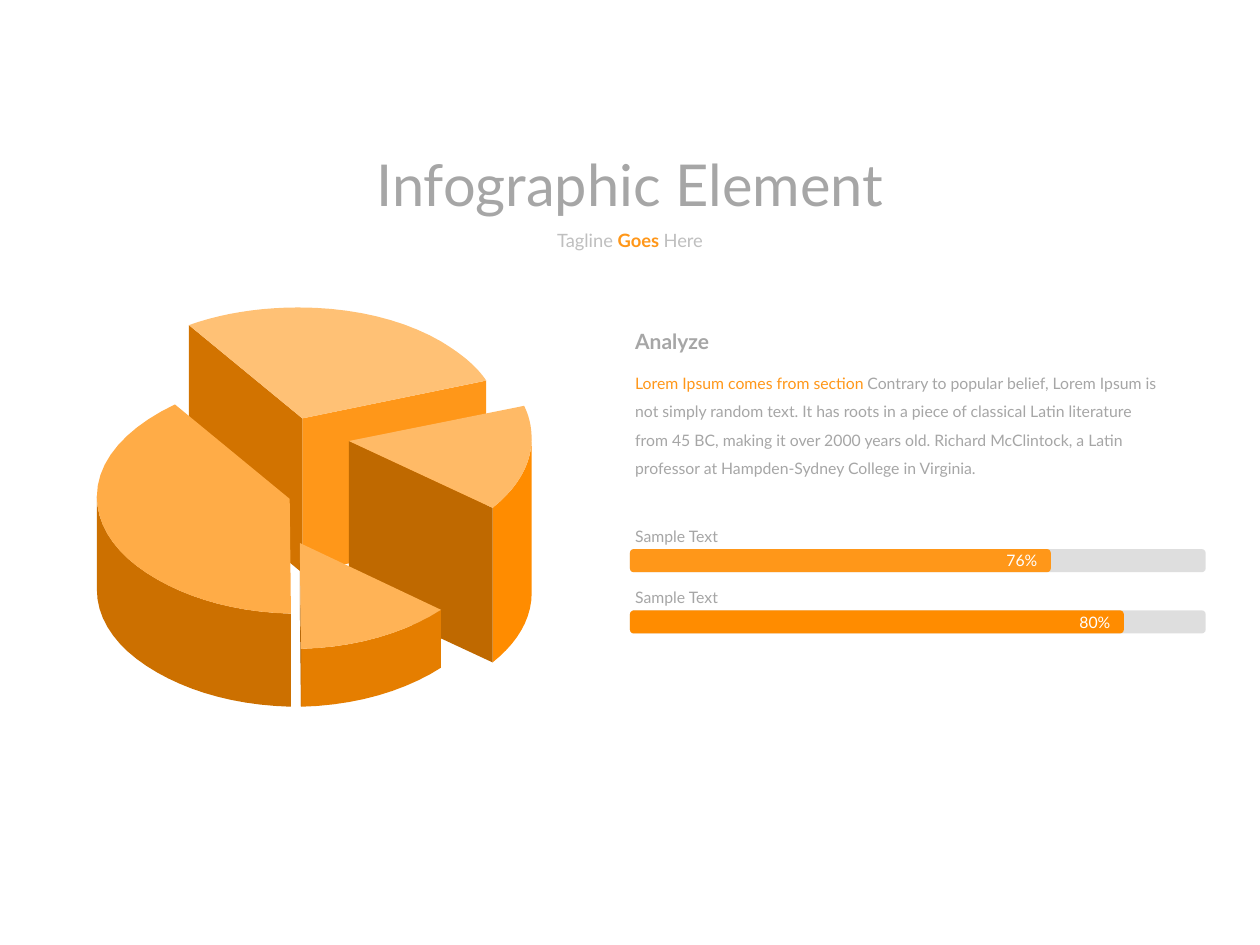
from lxml.etree import SubElement
from pptx import Presentation
from pptx.dml.color import RGBColor as RGB
from pptx.enum.shapes import MSO_SHAPE as Kind
from pptx.enum.text import MSO_ANCHOR as Anchor
from pptx.enum.text import MSO_AUTO_SIZE as Auto
from pptx.enum.text import PP_ALIGN as Align
from pptx.oxml.ns import qn
from pptx.util import Pt

GRAY = RGB(0xA6, 0xA6, 0xA6)
PALE = RGB(0xBF, 0xBF, 0xBF)
WHITE = RGB(0xFF, 0xFF, 0xFF)
ORANGE = RGB(0xFF, 0x97, 0x19)
VIVID = RGB(0xFF, 0x8C, 0x00)
STEPS = 10

TITLE = {"size": Pt(33), "color": GRAY}
TAG = {"size": Pt(10.5), "color": PALE}
HEAD = {"size": Pt(12), "color": GRAY, "bold": True}
BODY = {"size": Pt(9), "color": GRAY}

STORY = (
    "Contrary to popular belief, Lorem Ipsum is not simply random text. "
    "It has roots in a piece of classical Latin literature from 45 BC, "
    "making it over 2000 years old. Richard McClintock, a Latin professor "
    "at Hampden-Sydney College in Virginia."
)

# Each slice: apex, start, curves, depth, top colour, walls (colour, from, to).
SLICES = [
    ((117.4, 63.4), (52.6, 10.1),
     [((70.6, 3.6), (92.2, 0), (115.2, 0)),
      ((146.9, 0), (175.7, 7.2), (196.6, 19.4)),
      ((207.4, 25.9), (216.7, 33.1), (222.5, 41.8))],
     88.3, RGB(0xFF, 0xC1, 0x75),
     [(ORANGE, -2, None), (RGB(0xD2, 0x73, 0x00), 0, 2)]),
    ((110.2, 109.4), (44.6, 55.4),
     [((17.3, 68.4), (0, 87.1), (0, 108)),
      ((0, 126.7), (13, 143.3), (34.6, 155.5)),
      ((54.7, 167), (80.6, 174.2), (110.9, 175))],
     53.2, RGB(0xFF, 0xAC, 0x47),
     [(RGB(0xCC, 0x70, 0x00), STEPS + 1, -1)]),
    ((144, 76.3), (244.1, 56.2),
     [((247, 61.9), (248.4, 68.4), (248.4, 74.9)),
      ((248.4, 90), (239.8, 103.7), (226.1, 114.5))],
     88.3, RGB(0xFF, 0xBA, 0x66),
     [(VIVID, STEPS + 1, -1), (RGB(0xBF, 0x69, 0x00), -2, None)]),
    ((115.9, 134.6), (196.6, 172.8),
     [((176.4, 185.8), (148.3, 194.4), (116.6, 195.1))],
     33.1, RGB(0xFF, 0xB3, 0x56),
     [(RGB(0xE5, 0x7E, 0x00), 1, -1), (RGB(0xAC, 0x5E, 0x00), -2, None)]),
]


def style(run, form):
    """Set the font of a run from a dict of format values."""
    run.font.name = "Lato"
    for key, value in form.items():
        if key == "color":
            run.font.color.rgb = value
        else:
            setattr(run.font, key, value)


def write(slide, box, runs, align=Align.LEFT, wrap=False, space=None):
    """Place a text box holding one paragraph of (text, format) runs."""
    frame = slide.shapes.add_textbox(*map(Pt, box)).text_frame
    para = frame.paragraphs[0]
    for key, value in {"auto_size": Auto.SHAPE_TO_FIT_TEXT, "word_wrap": wrap}.items():
        setattr(frame, key, value)
    for key, value in {"alignment": align, "line_spacing": space}.items():
        setattr(para, key, value)
    for text, form in runs:
        run = para.add_run()
        run.text = text
        style(run, form)


def paint(shape, color):
    """Give a shape a plain fill with no line or shadow."""
    shape.shadow.inherit = False
    shape.fill.solid()
    shape.fill.fore_color.rgb = color
    shape.line.fill.background()


def bend(start, curves):
    """Return points along a chain of cubic curves."""
    pts = [start]
    for one, two, end in curves:
        base = pts[-1]
        for step in range(1, STEPS + 1):
            t = step / STEPS
            u = 1 - t
            pts.append(tuple(
                u**3 * a + 3 * u * u * t * b + 3 * u * t * t * c + t**3 * d
                for a, b, c, d in zip(base, one, two, end)))
    return pts


def draw(shapes, box, pts, color):
    """Draw a filled outline from points relative to the box."""
    spots = [(Pt(box[0] + x), Pt(box[1] + y)) for x, y in pts]
    form = shapes.build_freeform(*spots[0], scale=1.0)
    form.add_line_segments(spots[1:], close=True)
    paint(form.convert_to_shape(), color)


def pie(slide, box):
    """Draw the raised pie, each slice as walls and a top."""
    shapes = slide.shapes.add_group_shape().shapes
    for apex, start, curves, depth, color, walls in SLICES:
        rim = [apex, *bend(start, curves), apex]
        for shade, low, high in walls:
            edge = rim[low:high]
            base = [(x, y + depth) for x, y in reversed(edge)]
            draw(shapes, box, edge + base, shade)
        draw(shapes, box, rim[:-1], color)


def header(slide, box):
    """Write the title and the tagline, centred in the box."""
    x, y, w, h = box
    write(slide, (x, y, w, 47.5), [("Infographic Element", TITLE)], Align.CENTER)
    runs = [("Tagline ", TAG), ("Goes ", TAG | {"color": ORANGE, "bold": True}),
            ("Here", TAG)]
    write(slide, (x, y + 46, w, 20.2), runs, Align.CENTER)


def story(slide, box):
    """Write the heading and the paragraph under it."""
    x, y, w, h = box
    write(slide, (x, y, 57.6, 21.6), [("Analyze", HEAD)])
    runs = [("Lorem Ipsum comes from section ", BODY | {"color": ORANGE}),
            (STORY, BODY)]
    write(slide, (x, y + 20.2, w, h - 20.2), runs, wrap=True, space=1.5)


def meter(slide, box, part, text, color):
    """Draw a labelled track with a filled part that shows its value."""
    x, y, w, h = box
    track = slide.shapes.add_shape(Kind.ROUNDED_RECTANGLE, *map(Pt, box))
    paint(track, PALE)
    tint = track.fill._xPr.find(qn("a:solidFill"))[0]
    SubElement(tint, qn("a:alpha"), val="50000")
    bar = slide.shapes.add_shape(
        Kind.ROUNDED_RECTANGLE, *map(Pt, (x, y, part, h)))
    paint(bar, color)
    frame = bar.text_frame
    sides = ("left", "top", "right", "bottom")
    form = {f"margin_{side}": Pt(7.2) for side in sides}
    form |= {"word_wrap": False, "vertical_anchor": Anchor.MIDDLE}
    for key, value in form.items():
        setattr(frame, key, value)
    para = frame.paragraphs[0]
    para.alignment = Align.RIGHT
    run = para.add_run()
    run.text = text
    style(run, BODY | {"color": WHITE})
    write(slide, (x - 4.1, y - 16.3, 64, 18), [("Sample Text", BODY)])


def main():
    """Build the slide and save it."""
    deck = Presentation()
    deck.slide_width, deck.slide_height = Pt(720), Pt(540)
    slide = deck.slides.add_slide(deck.slide_layouts[6])
    header(slide, (204.2, 81.4, 311.6, 66.2))
    pie(slide, (55.4, 175.7, 248.4, 228.2))
    story(slide, (355.9, 184.3, 317.5, 92.9))
    bars = [(240.5, "76%", ORANGE), (282.2, "80%", VIVID)]
    for i, (part, text, color) in enumerate(bars):
        meter(slide, (360, 313.8 + 35 * i, 329, 13.2), part, text, color)
    deck.save("out.pptx")


if __name__ == "__main__":
    main()
